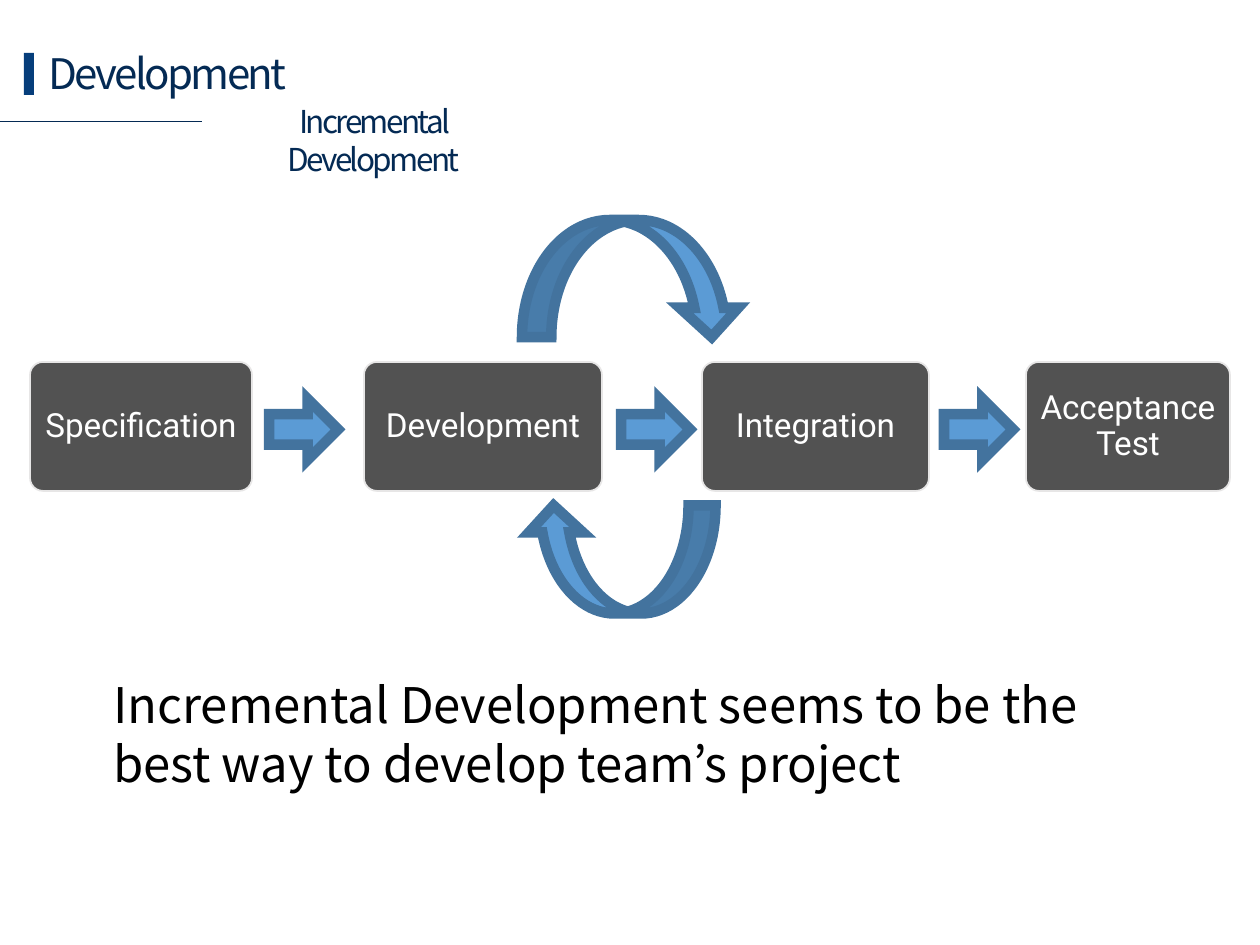
import pptx
import pptx.util
import pptx.dml.color
import pptx.enum.shapes
import pptx.enum.text
import pptx.oxml.ns
from lxml import etree

PX = 7257.14  # EMU per px at 126 px to the inch
THEME = {
    "navy": "042A54", "marker": "063E7B", "card": "525252", "card_edge": "E7E6E6",
    "arrow": "5B9BD5", "arrow_edge": "43739E", "white": "FFFFFF", "black": "000000",
    "font": "Noto Sans CJK KR", "card_font": "Roboto",
    "title": 24, "subtitle": 18, "step": 19, "message": 28,
}
SHAPE = pptx.enum.shapes.MSO_SHAPE
ALIGN = pptx.enum.text.PP_ALIGN


def write(holder, text, size, ink, font="font", align=ALIGN.LEFT, spacing=0):
    paragraph = holder.text_frame.paragraphs[0]
    paragraph.text = text
    paragraph.alignment = align
    for run in paragraph.runs:
        run.font.size = pptx.util.Pt(THEME[size])
        run.font.name = THEME[font]
        run.font.color.rgb = pptx.dml.color.RGBColor.from_string(THEME[ink])
        if spacing:
            run.font._element.set("spc", str(spacing))


def add_block(kind, box, fill, edge=None, width=0):
    block = slide.shapes.add_shape(kind, *[round(v * PX) for v in box])
    block.shadow.inherit = False
    block.fill.solid()
    block.fill.fore_color.rgb = pptx.dml.color.RGBColor.from_string(THEME[fill])
    if edge:
        block.line.color.rgb = pptx.dml.color.RGBColor.from_string(THEME[edge])
        block.line.width = pptx.util.Pt(width)
        miter = etree.SubElement(block.line._get_or_add_ln(), pptx.oxml.ns.qn("a:miter"))
        miter.set("lim", "800000")
    else:
        block.line.fill.background()
    return block


prs = pptx.Presentation()
prs.slide_width = pptx.util.Inches(10)
prs.slide_height = pptx.util.Inches(7.5)
slide = prs.slides.add_slide(prs.slide_layouts[6])

# Headings and closing message: text, box, size, ink, alignment, spacing, wrap
texts = [
    ("Development", (36, 41, 270, 63), "title", "navy", ALIGN.LEFT, -150, False),
    ("Incremental Development", (202, 96, 343, 50), "subtitle", "navy", ALIGN.CENTER, -150, True),
    ("Incremental Development seems to be the best way to develop team’s project",
     (101, 668, 1094, 131), "message", "black", ALIGN.LEFT, 0, True),
]
for text, box, size, ink, align, spacing, wrap in texts:
    caption = slide.shapes.add_textbox(*[round(v * PX) for v in box])
    caption.text_frame.word_wrap = wrap
    caption.text_frame.auto_size = pptx.enum.text.MSO_AUTO_SIZE.SHAPE_TO_FIT_TEXT
    write(caption, text, size, ink, align=align, spacing=spacing)

# Title marker and rule
add_block(SHAPE.RECTANGLE, (24, 53, 10, 42), "marker")
rule = slide.shapes.add_connector(
    pptx.enum.shapes.MSO_CONNECTOR.STRAIGHT, 0, round(121 * PX), round(202 * PX), round(121 * PX))
rule.line.color.rgb = pptx.dml.color.RGBColor.from_string(THEME["navy"])
rule.line.width = pptx.util.Pt(0.5)
etree.SubElement(rule._element.spPr, pptx.oxml.ns.qn("a:effectLst"))

# Process steps, with side margins narrow enough to keep each word whole
steps = [("Specification", 30, 222), ("Development", 364, 238),
         ("Integration", 702, 227), ("Acceptance Test", 1026, 204)]
for label, left, width in steps:
    step = add_block(SHAPE.ROUNDED_RECTANGLE, (left, 362, width, 129), "card", "card_edge", 1)
    step.adjustments[0] = 0.1
    frame = step.text_frame
    frame.word_wrap = True
    frame.vertical_anchor = pptx.enum.text.MSO_ANCHOR.MIDDLE
    frame.margin_left = frame.margin_right = round(6 * PX)
    frame.margin_top = frame.margin_bottom = round(14 * PX)
    write(step, label, "step", "white", "card_font", ALIGN.CENTER)
    frame.paragraphs[0].line_spacing = 0.9

# Forward arrows and the loop between development and integration
arrows = [(SHAPE.RIGHT_ARROW, (left, 399, 69, 61), 0) for left in (269, 621, 944)]
arrows += [(SHAPE.CURVED_DOWN_ARROW, (522, 220, 219, 117), 0),
           (SHAPE.CURVED_LEFT_ARROW, (567, 465, 108, 189), 90)]
for kind, box, turn in arrows:
    arrow = add_block(kind, box, "arrow", "arrow_edge", 6)
    arrow.rotation = turn

prs.save("out.pptx")
